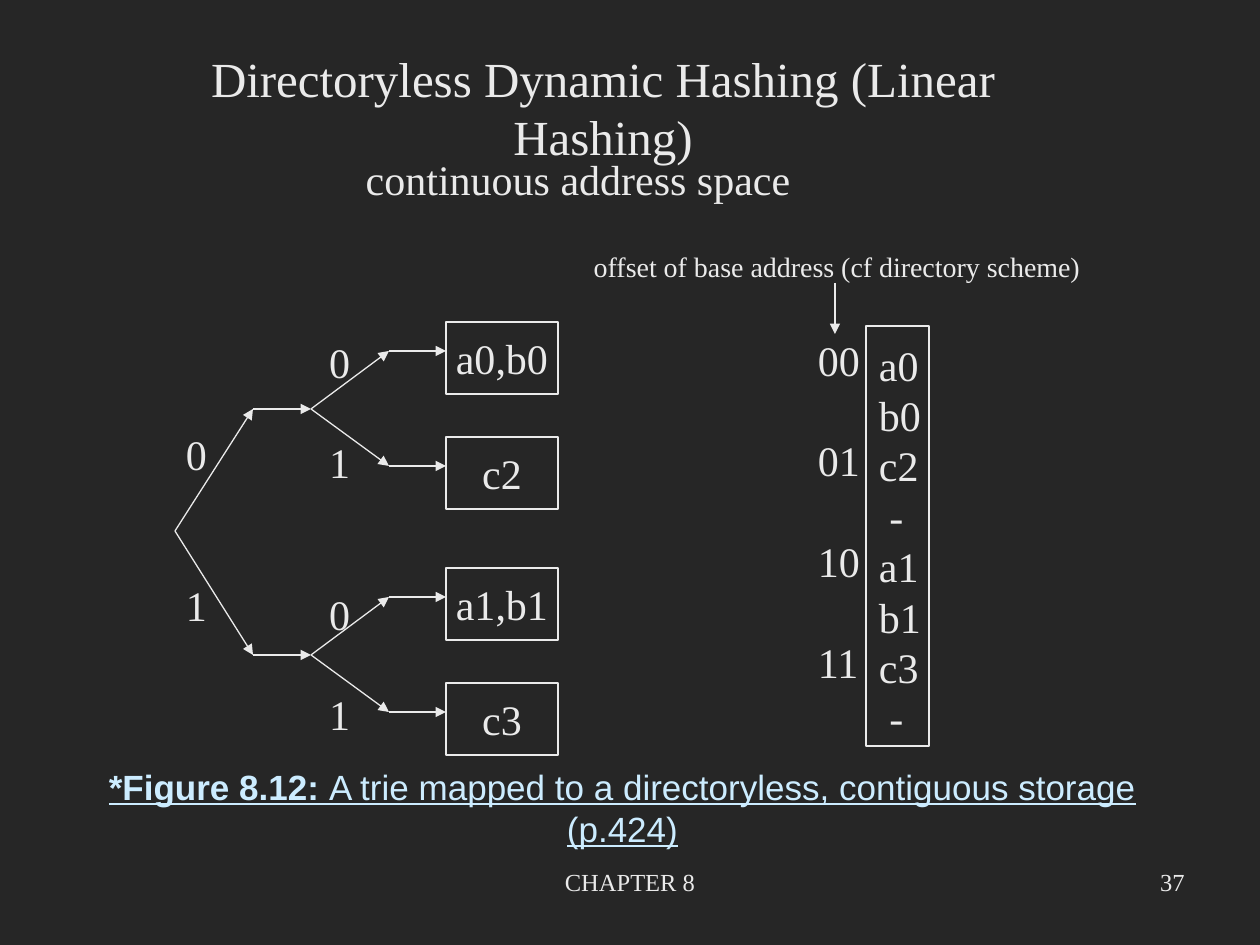
from lxml.etree import SubElement
from pptx import Presentation
from pptx.dml.color import RGBColor
from pptx.enum.shapes import MSO_CONNECTOR, MSO_SHAPE
from pptx.enum.text import MSO_ANCHOR, PP_ALIGN
from pptx.oxml.ns import qn
from pptx.util import Inches, Pt

PX = Inches(1) / 126
COLORS = {"background": "262626", "ink": "EAEAEA", "caption": "CCECFF"}
SERIF, SANS = "Times New Roman", "Arial"
LEADING = 1.2
LINE_WIDTH = 0.75

# Column positions of the trie
ROOT_X, BRANCH_X, NODE_X, FORK_X, BUCKET_X = 175, 253, 311, 389, 446
BUCKET_W, BUCKET_H = 112, 72
BUCKET_STEP = 115
ENTRY_DROP = 29  # from a bucket's top to its incoming arrow


def px(*lengths):
    return [round(length * PX) for length in lengths]


def color(name):
    return RGBColor.from_string(COLORS[name])


def style(paragraph, size, font=SERIF, ink="ink", align=PP_ALIGN.LEFT):
    paragraph.alignment = align
    paragraph.line_spacing = Pt(size * LEADING)
    paragraph.font.size = Pt(size)
    paragraph.font.name = font
    paragraph.font.color.rgb = color(ink)


def add_text(slide, box, text, size, align=PP_ALIGN.CENTER,
             anchor=MSO_ANCHOR.MIDDLE, wrap=False):
    frame = slide.shapes.add_textbox(*px(*box)).text_frame
    frame.word_wrap = wrap
    frame.vertical_anchor = anchor
    paragraph = frame.paragraphs[0]
    paragraph.text = text
    style(paragraph, size, align=align)


def add_column(slide, box, rows, inset=13, size=24):
    """Stack texts on the line numbers given as keys, starting at line 0."""
    frame = slide.shapes.add_textbox(*px(*box)).text_frame
    frame.word_wrap = True
    frame.margin_left, frame.margin_right = px(inset, 0)
    previous = -1
    for row, text in rows.items():
        paragraph = frame.paragraphs[0] if row == 0 else frame.add_paragraph()
        paragraph.text = text
        style(paragraph, size)
        if row > previous + 1:
            paragraph.space_before = Pt((row - previous - 1) * size * LEADING)
        previous = row


def add_frame(slide, box, text=None):
    """Outlined rectangle, with centred text when given."""
    outline = slide.shapes.add_shape(MSO_SHAPE.RECTANGLE, *px(*box))
    outline.shadow.inherit = False
    outline.fill.background()
    outline.line.color.rgb = color("ink")
    outline.line.width = Pt(LINE_WIDTH)
    if text:
        frame = outline.text_frame
        frame.word_wrap = False
        frame.vertical_anchor = MSO_ANCHOR.MIDDLE
        frame.paragraphs[0].text = text
        style(frame.paragraphs[0], 24, align=PP_ALIGN.CENTER)


def add_arrow(slide, start, end):
    arrow = slide.shapes.add_connector(MSO_CONNECTOR.STRAIGHT, *px(*start, *end))
    arrow.line.color.rgb = color("ink")
    arrow.line.width = Pt(LINE_WIDTH)
    properties = arrow.element.spPr
    SubElement(properties.find(qn("a:ln")), qn("a:tailEnd"), type="triangle")
    SubElement(properties, qn("a:effectLst"))


def add_subtree(slide, top, buckets):
    """Arrows from the root through one node to its two buckets."""
    node_y = top + ENTRY_DROP + BUCKET_STEP // 2 + 1
    add_arrow(slide, (ROOT_X, 531), (BRANCH_X, node_y))
    add_arrow(slide, (BRANCH_X, node_y), (NODE_X, node_y))
    for index, keys in enumerate(buckets):
        bucket_top = top + index * BUCKET_STEP
        entry_y = bucket_top + ENTRY_DROP
        add_frame(slide, (BUCKET_X, bucket_top, BUCKET_W, BUCKET_H), keys)
        add_arrow(slide, (NODE_X, node_y), (FORK_X, entry_y))
        add_arrow(slide, (FORK_X, entry_y), (BUCKET_X, entry_y))


def add_storage(slide):
    cells = ["a0", "b0", "c2", " -", "a1", "b1", "c3", " -"]
    add_column(slide, (866, 333, 67, 416), dict(enumerate(cells)))
    add_frame(slide, (866, 326, 63, 420))
    add_column(slide, (795, 328, 88, 365),
               {0: "00", 2: "01", 4: "10", 6: "11"}, inset=23)
    add_arrow(slide, (835, 283), (835, 334))


def add_caption(slide):
    frame = slide.shapes.add_textbox(*px(87, 728, 1071, 158)).text_frame
    frame.word_wrap = True
    frame.vertical_anchor = MSO_ANCHOR.MIDDLE
    paragraph = frame.paragraphs[0]
    style(paragraph, 20, SANS, "caption", PP_ALIGN.CENTER)
    paragraph.font.underline = True
    label = paragraph.add_run()
    label.text = "*Figure 8.12: "
    label.font.bold = True
    paragraph.add_run().text = (
        "A trie mapped to a directoryless, contiguous storage (p.424)")


def main():
    deck = Presentation()
    deck.slide_width, deck.slide_height = px(1260, 945)
    slide = deck.slides.add_slide(deck.slide_layouts[6])
    slide.background.fill.solid()
    slide.background.fill.fore_color.rgb = color("background")

    add_text(slide, (430, 861, 400, 65), "CHAPTER 8", 14,
             anchor=MSO_ANCHOR.TOP, wrap=True)
    add_text(slide, (903, 861, 294, 65), "37", 14, PP_ALIGN.RIGHT,
             MSO_ANCHOR.TOP, wrap=True)
    add_caption(slide)

    add_subtree(slide, 322, ["a0,b0", "c2"])
    add_subtree(slide, 568, ["a1,b1", "c3"])
    add_column(slide, (306, 330, 57, 416),
               {0: "0", 2: "1", 5: "0", 7: "1"}, inset=23)
    add_column(slide, (173, 422, 55, 214), {0: "0", 3: "1"})
    add_storage(slide)

    add_text(slide, (103, 71, 1000, 72),
             "Directoryless Dynamic Hashing (Linear Hashing)", 28)
    add_text(slide, (353, 147, 450, 63), "continuous address space", 24)
    add_text(slide, (581, 243, 512, 47),
             "offset of base address (cf directory scheme)", 16)
    deck.save("out.pptx")


if __name__ == "__main__":
    main()
